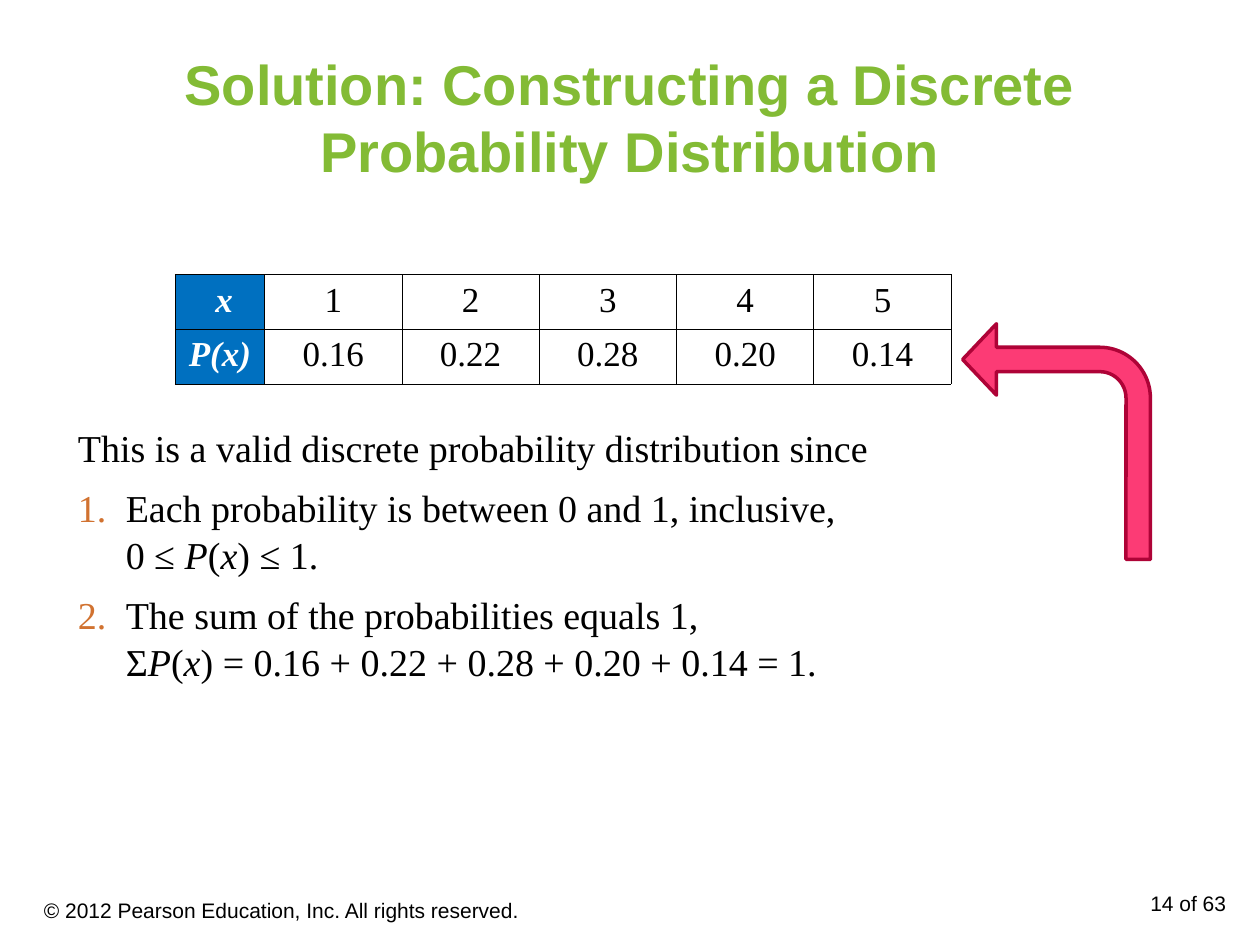
from lxml import etree
from pptx import Presentation
from pptx.dml.color import RGBColor
from pptx.enum import shapes, text
from pptx.oxml import ns
from pptx.util import Inches, Pt

COLORS = {"title": "83BB35", "ink": "000000", "white": "FFFFFF", "head": "0070C0",
          "number": "D17230", "arrow": "FC3B75", "edge": "AE0337"}
SANS, SERIF = "Arial", "Times New Roman"


def add_run(par, words, size, face, color="ink", bold=False, italic=False):
    run = par.add_run()
    run.text = words
    font = run.font
    font.size, font.name, font.bold, font.italic = Pt(size), face, bold, italic
    font.color.rgb = RGBColor.from_string(COLORS[color])


def add_box(left, top, width, height, anchor=text.MSO_ANCHOR.TOP):
    """Add a wrapping text box and return its text frame."""
    box = slide.shapes.add_textbox(Inches(left), Inches(top), Inches(width), Inches(height))
    frame = box.text_frame
    frame.word_wrap = True
    frame.vertical_anchor = anchor
    return frame


prs = Presentation()
prs.slide_width, prs.slide_height = Inches(10), Inches(7.5)
slide = prs.slides.add_slide(prs.slide_layouts[6])

# Title
par = add_box(0.5, 0.3, 9, 1.25, text.MSO_ANCHOR.MIDDLE).paragraphs[0]
par.alignment = text.PP_ALIGN.CENTER
add_run(par, "Solution: Constructing a Discrete Probability Distribution", 32, SANS, "title", bold=True)

# Reasons: each line is a list of (words, italic) runs
reasons = [
    [[("This is a valid discrete probability distribution since", False)]],
    [[("Each probability is between 0 and 1, inclusive,", False)],
     [("0 ≤ ", False), ("P", True), ("(", False), ("x", True), (") ≤ 1.", False)]],
    [[("The sum of the probabilities equals 1,", False)],
     [("Σ", False), ("P", True), ("(", False), ("x", True),
      (") = 0.16 + 0.22 + 0.28 + 0.20 + 0.14 = 1.", False)]],
]
frame = add_box(0.52, 3.31, 9, 2.23)
for i, lines in enumerate(reasons):
    par = frame.add_paragraph() if i else frame.paragraphs[0]
    par.line_spacing = 1.04
    props = par._p.get_or_add_pPr()
    props.set("marL", str(Inches(0.38)))
    props.set("indent", str(-Inches(0.38)))
    if i:
        par.space_before = Pt(7)
        tint = etree.SubElement(props, ns.qn("a:buClr"))
        etree.SubElement(tint, ns.qn("a:srgbClr"), val=COLORS["number"])
        etree.SubElement(props, ns.qn("a:buFont"), typeface=SERIF)
        etree.SubElement(props, ns.qn("a:buAutoNum"), type="arabicPeriod")
    for j, line in enumerate(lines):
        if j:
            par.add_line_break()
        for words, italic in line:
            add_run(par, words, 21.7, SERIF, italic=italic)

# Distribution table
rows = [[" x", "1", "2", "3", "4", "5"],
        ["P(x)", "0.16", "0.22", "0.28", "0.20", "0.14"]]
table = slide.shapes.add_table(2, 6, Inches(1.39), Inches(2.18), Inches(6.17), Inches(0.87)).table
table.first_row = table.horz_banding = False
for c, col in enumerate(table.columns):
    col.width = Inches(1.09 if c else 0.71)
for r, row in enumerate(rows):
    table.rows[r].height = Inches(0.43)
    for c, words in enumerate(row):
        cell = table.cell(r, c)
        head = c == 0
        props = cell._tc.get_or_add_tcPr()
        for side in ("a:lnL", "a:lnR", "a:lnT", "a:lnB"):
            edge = etree.SubElement(props, ns.qn(side), w=str(Pt(0.45)))
            fill = etree.SubElement(edge, ns.qn("a:solidFill"))
            etree.SubElement(fill, ns.qn("a:srgbClr"), val=COLORS["ink"])
        cell.fill.solid()
        cell.fill.fore_color.rgb = RGBColor.from_string(COLORS["head" if head else "white"])
        par = cell.text_frame.paragraphs[0]
        par.alignment = text.PP_ALIGN.CENTER
        add_run(par, words, 20, SERIF, "white" if head else "ink", bold=head, italic=head)

# Bent arrow, mirrored to point left at the table
arrow = slide.shapes.add_shape(shapes.MSO_SHAPE.BENT_ARROW, Inches(7.64), Inches(2.57),
                               Inches(1.49), Inches(1.87))
arrow.shadow.inherit = False
for i, share in enumerate((0.13, 0.19, 0.18, 0.27)):
    arrow.adjustments[i] = share
arrow._element.spPr.xfrm.set("flipH", "1")
arrow.fill.solid()
arrow.fill.fore_color.rgb = RGBColor.from_string(COLORS["arrow"])
arrow.line.color.rgb = RGBColor.from_string(COLORS["edge"])
arrow.line.width = Pt(2)

# Footer
par = add_box(0.25, 7.02, 4.75, 0.4, text.MSO_ANCHOR.MIDDLE).paragraphs[0]
add_run(par, "© 2012 Pearson Education, Inc. All rights reserved.", 12, SANS)
par = add_box(7.5, 7.02, 2.33, 0.4).paragraphs[0]
par.alignment = text.PP_ALIGN.RIGHT
add_run(par, "14 of 63", 12, SANS)

prs.save("out.pptx")
